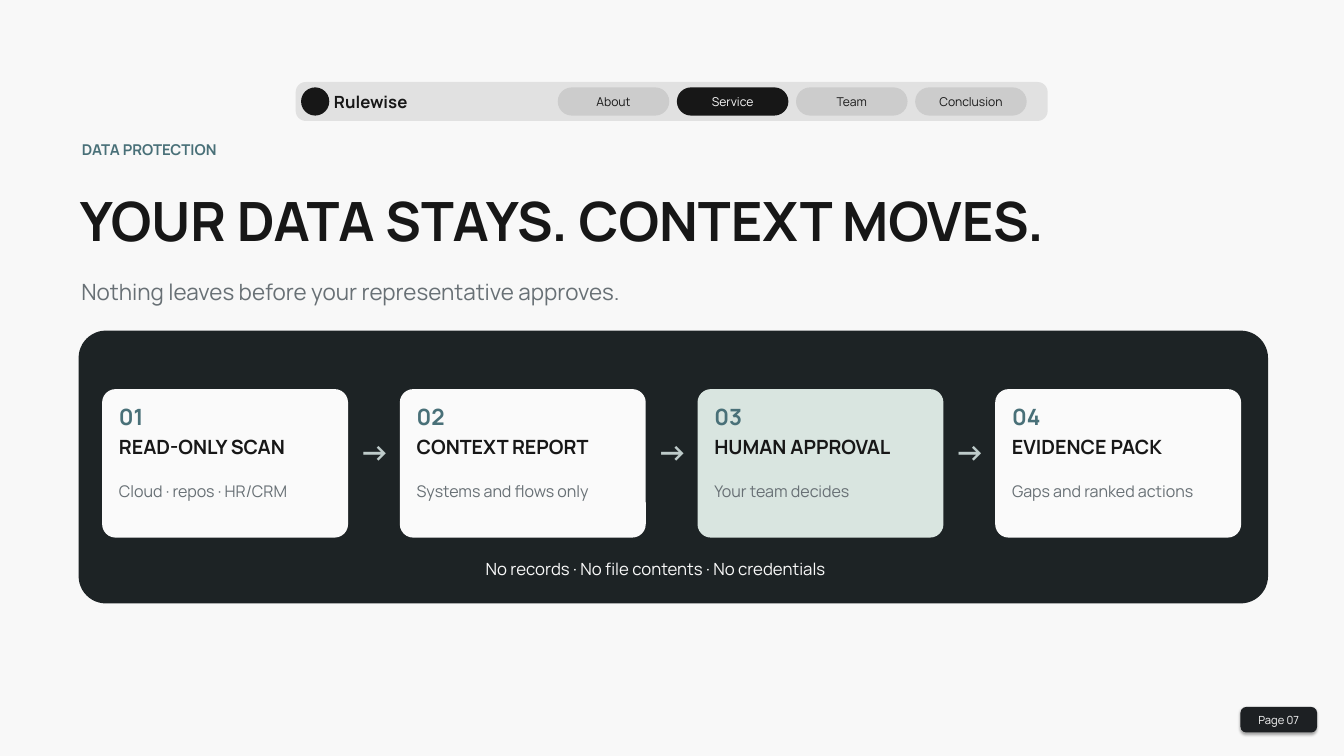
from lxml import etree
from pptx import Presentation
from pptx.dml.color import RGBColor
from pptx.enum import shapes, text
from pptx.oxml import ns
from pptx.util import Inches, Pt

FONT = "Manrope"
INK = "171717"
PAPER = "FAFAFA"
TEAL = "497078"
GRAY = "687075"
LEFT = text.PP_ALIGN.LEFT
CENTER = text.PP_ALIGN.CENTER


def color(value):
    """Turn a hex string into a colour."""
    return RGBColor.from_string(value)


def write(frame, words, size, ink, bold=False, align=LEFT, spacing=None):
    """Put one styled paragraph into a text frame."""
    frame.text = words
    para = frame.paragraphs[0]
    para.alignment = align
    if spacing:
        para.line_spacing = spacing
    font = para.runs[0].font
    font.name, font.size, font.bold = FONT, Pt(size), bold
    font.color.rgb = color(ink)


def set_margins(frame, side=0):
    """Set equal side margins and no margin above or below."""
    frame.margin_left = frame.margin_right = Inches(side)
    frame.margin_top = frame.margin_bottom = 0


def add_label(page, place, words, size, ink, bold=False, align=LEFT, spacing=1.06):
    """Add a wrapped text box without margins."""
    box = page.shapes.add_textbox(*map(Inches, place))
    box.text_frame.word_wrap = True
    set_margins(box.text_frame)
    write(box.text_frame, words, size, ink, bold, align, spacing)


def add_panel(page, place, fill, rounding=None):
    """Add a flat rounded rectangle, or an ellipse when no rounding is given."""
    kind = shapes.MSO_SHAPE.OVAL if rounding is None else shapes.MSO_SHAPE.ROUNDED_RECTANGLE
    panel = page.shapes.add_shape(kind, *map(Inches, place))
    if rounding is not None:
        panel.adjustments[0] = rounding
    panel.shadow.inherit = False
    panel.fill.solid()
    panel.fill.fore_color.rgb = color(fill)
    panel.line.fill.background()
    return panel


def add_pill(page, place, words, size, fill, ink, rounding=0.5, side=0.02):
    """Add a rounded rectangle with a centred caption."""
    pill = add_panel(page, place, fill, rounding)
    frame = pill.text_frame
    frame.word_wrap = False
    frame.vertical_anchor = text.MSO_ANCHOR.MIDDLE
    set_margins(frame, side)
    write(frame, words, size, ink, align=CENTER)
    return pill


def add_shadow(shape, blur, distance, opacity):
    """Give a shape a soft black shadow that falls straight down."""
    effects = shape._element.spPr.find(ns.qn("a:effectLst"))
    shadow = etree.SubElement(effects, ns.qn("a:outerShdw"), blurRad=str(Pt(blur)),
                              dist=str(Pt(distance)), dir="5400000", algn="t", rotWithShape="0")
    tint = etree.SubElement(shadow, ns.qn("a:srgbClr"), val="000000")
    etree.SubElement(tint, ns.qn("a:alpha"), val=str(opacity * 1000))


def add_navigation(page, current):
    """Add the top bar with the name and the section tabs."""
    add_panel(page, (4.4, 1.22, 11.19, 0.58), "E1E1E1", 0.26)
    add_panel(page, (4.48, 1.3, 0.42, 0.42), INK)
    add_label(page, (4.97, 1.32, 2.26, 0.34), "Rulewise", 18, INK, True, spacing=Pt(25.2))
    for index, name in enumerate(("About", "Service", "Team", "Conclusion")):
        fill, ink = (INK, PAPER) if name == current else ("CCCCCC", INK)
        add_pill(page, (8.3 + index * 1.773, 1.3, 1.66, 0.42), name, 13, fill, ink)


def add_step(page, left, number, title, detail, fill):
    """Add one numbered card of the flow."""
    add_panel(page, (left, 5.79, 3.66, 2.21), fill, 0.09)
    inner = left + 0.25
    add_label(page, (inner, 5.98, 0.95, 0.43), f"{number:02}", 24, TEAL, True)
    add_label(page, (inner, 6.45, 3.2, 0.43), title, 21, INK, True)
    add_label(page, (inner, 7.15, 3.15, 0.57), detail, 17.2, GRAY)


def add_flow(page):
    """Add the dark panel with four cards and the arrows between them."""
    steps = (
        ("READ-ONLY SCAN", "Cloud · repos · HR/CRM", PAPER),
        ("CONTEXT REPORT", "Systems and flows only", PAPER),
        ("HUMAN APPROVAL", "Your team decides", "D9E5E0"),
        ("EVIDENCE PACK", "Gaps and ranked actions", PAPER),
    )
    add_panel(page, (1.17, 4.92, 17.7, 4.06), "1D2325", 0.1)
    for index, step in enumerate(steps):
        left = 1.52 + index * 4.43
        add_step(page, left, index + 1, *step)
        if index < len(steps) - 1:
            add_label(page, (left + 3.78, 6.41, 0.55, 0.66), "→", 33, "BECBCA", True, CENTER)
    add_label(page, (2.03, 8.3, 15.45, 0.34),
              "No records · No file contents · No credentials", 18, PAPER, align=CENTER)


def main():
    """Build and save the slide."""
    deck = Presentation()
    deck.slide_width, deck.slide_height = Inches(20), Inches(11.25)
    page = deck.slides.add_slide(deck.slide_layouts[6])
    page.background.fill.solid()
    page.background.fill.fore_color.rgb = color("F8F8F8")
    add_navigation(page, "Service")
    add_label(page, (1.22, 2.08, 12, 0.33), "DATA PROTECTION", 16, TEAL, True)
    add_label(page, (1.19, 2.73, 17.8, 1.12), "YOUR DATA STAYS. CONTEXT MOVES.", 58, INK, True)
    add_label(page, (1.21, 4.12, 17.55, 0.55),
              "Nothing leaves before your representative approves.", 24, GRAY)
    add_flow(page)
    badge = add_pill(page, (18.46, 10.52, 1.14, 0.38), "Page 07", 12, "1D2023", "FBFBFB", 0.23, 0.03)
    add_shadow(badge, 3.1, 1.8, 35)
    deck.save("out.pptx")


if __name__ == "__main__":
    main()
